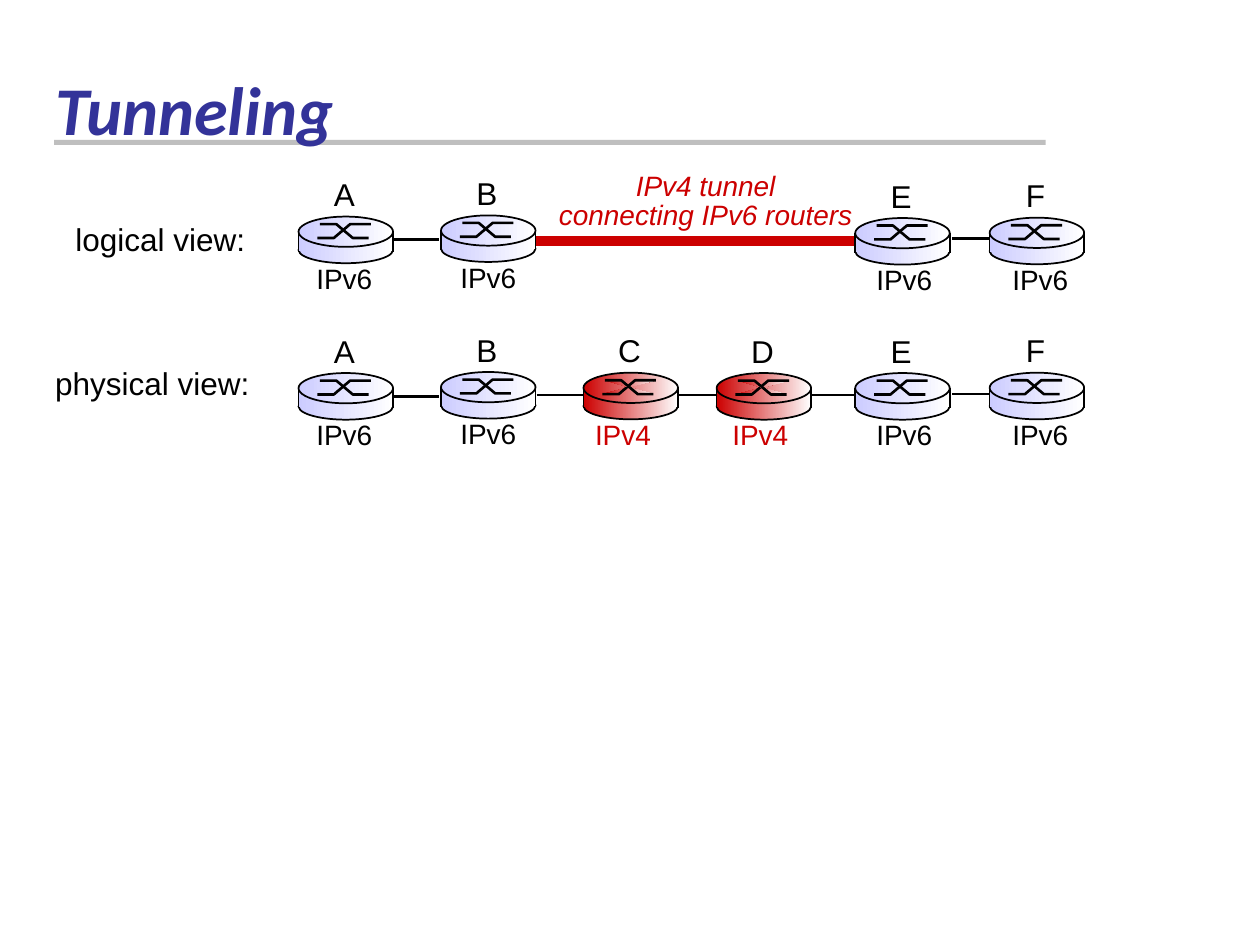
from lxml import etree
from pptx import Presentation
from pptx.dml.color import RGBColor
from pptx.enum.shapes import MSO_CONNECTOR, MSO_SHAPE
from pptx.enum.text import MSO_ANCHOR, PP_ALIGN
from pptx.oxml.ns import qn
from pptx.util import Pt

LINE = MSO_CONNECTOR.STRAIGHT
RECT, OVAL = MSO_SHAPE.RECTANGLE, MSO_SHAPE.OVAL
TOP, BOTTOM = MSO_ANCHOR.TOP, MSO_ANCHOR.BOTTOM
LEFT, CENTER = PP_ALIGN.LEFT, PP_ALIGN.CENTER

BLACK = RGBColor(0x00, 0x00, 0x00)
WHITE = RGBColor(0xFF, 0xFF, 0xFF)
GRAY = RGBColor(0xBF, 0xBF, 0xBF)
NAVY = RGBColor(0x33, 0x33, 0x99)
RED = RGBColor(0xCC, 0x00, 0x00)
LAVENDER = RGBColor(0xCC, 0xCC, 0xFF)

# Content: router name -> left edge, protocol, protocol label shift
ROUTERS = {
    "A": (170.6, "IPv6", -0.8),
    "B": (252, "IPv6", 0),
    "C": (333.4, "IPv4", -4.4),
    "D": (409.5, "IPv4", -2),
    "E": (488.7, "IPv6", 1),
    "F": (565.5, "IPv6", 2),
}
PROTOCOL_COLORS = {"IPv6": (LAVENDER, BLACK), "IPv4": (RED, RED)}

# Each view: caption, caption box, {router: top}
VIEWS = [
    ("logical view:", (36, 122.4, 111.6, 28.8),
     {"A": 123.8, "B": 123.1, "E": 124.6, "F": 124.4}),
    ("physical view:", (24.5, 204.5, 125.3, 28.8),
     {"A": 213.2, "B": 212.6, "C": 213, "D": 213.2, "E": 213.2, "F": 213}),
]
LINKS = [  # left, right, y
    (225.4, 250.6, 136.8), (544.3, 570.2, 136.4),
    (225.4, 250.6, 226.6), (544.3, 569.5, 225.2),
    (306.7, 489.6, 225.8),
]
ROUTER_W = 54
# Crossing arrows as offsets from the router's top left corner
CROSSING = [
    [(10.8, 12.2), (20.2, 12.2), (29.5, 4.3), (41.4, 4.3)],
    [(12.2, 4.3), (21.6, 4.3), (31, 12.2), (40, 12.2)],
]

prs = Presentation()
prs.slide_width, prs.slide_height = Pt(720), Pt(540)
s = prs.slides.add_slide(prs.slide_layouts[6])


def text(lines, box, size, color=BLACK, font="Arial", align=LEFT,
         anchor=TOP, spacing=None, wrap=False, **style):
    tf = s.shapes.add_textbox(*map(Pt, box)).text_frame
    tf.word_wrap = wrap
    tf.vertical_anchor = anchor
    for i, line in enumerate(lines):
        p = tf.paragraphs[0] if i == 0 else tf.add_paragraph()
        p.alignment = align
        if spacing:
            p.line_spacing = spacing
        r = p.add_run()
        r.text = line
        r.font.color.rgb = color
        for name, value in dict(style, name=font, size=Pt(size)).items():
            setattr(r.font, name, value)


def paint(sp, fill=None, line=None, width=1, fade=False):
    sp.shadow.inherit = False
    if fill is None:
        sp.fill.background()
    elif fade:
        sp.fill.gradient()
        sp.fill.gradient_angle = 0
        for stop, color in zip(sp.fill.gradient_stops, (fill, WHITE)):
            stop.color.rgb = color
    else:
        sp.fill.solid()
        sp.fill.fore_color.rgb = fill
    if line is None:
        sp.line.fill.background()
    else:
        sp.line.color.rgb = line
        sp.line.width = Pt(width)


def connect(shapes, x1, y1, x2, y2, width):
    c = shapes.add_connector(LINE, Pt(x1), Pt(y1), Pt(x2), Pt(y2))
    c.line.color.rgb = BLACK
    c.line.width = Pt(width)
    etree.SubElement(c._element.spPr, qn("a:effectLst"))


def router(x, y, color):
    shapes = s.shapes.add_group_shape().shapes
    # Base, body and lid of the drum
    for kind, dy, h, line in [(OVAL, 11.5, 15.1, BLACK),
                              (RECT, 10, 9.4, None),
                              (OVAL, 0, 17.3, BLACK)]:
        sp = shapes.add_shape(kind, Pt(x), Pt(y + dy), Pt(ROUTER_W), Pt(h))
        paint(sp, color, line, fade=True)
    for points in CROSSING:
        path_pts = [(Pt(x + dx), Pt(y + dy)) for dx, dy in points]
        builder = shapes.build_freeform(*path_pts[0])
        builder.add_line_segments(path_pts[1:], close=False)
        paint(builder.convert_to_shape(), RED if color == RED else None,
              BLACK, 1.5, fade=True)
    for side in (x, x + ROUTER_W):
        connect(shapes, side, y + 8.3, side, y + 20, 1)


# Title and its rule
rule = s.shapes.add_shape(RECT, Pt(31), Pt(79.9), Pt(566.6), Pt(2.9))
paint(rule, GRAY)
text(["Tunneling"], (24.5, 10.8, 612, 77.8), 39, NAVY, "Calibri",
     anchor=BOTTOM, wrap=True, bold=True, italic=True)

# Tunnel and links, behind the routers
tunnel = s.shapes.add_shape(RECT, Pt(303.1), Pt(135.4), Pt(189.4), Pt(5))
paint(tunnel, RED, RED, 0.75)
text(["IPv4 tunnel", "connecting IPv6 routers"], (311.8, 95.8, 182.9, 40.3),
     16, RED, align=CENTER, spacing=0.85, italic=True)
for left, right, y in LINKS:
    connect(s.shapes, left, y, right, y, 1.5)

# Views with their labelled routers
for caption, box, tops in VIEWS:
    text([caption], box, 18)
    for name, top in tops.items():
        left, protocol, shift = ROUTERS[name]
        fill, ink = PROTOCOL_COLORS[protocol]
        router(left, top, fill)
        mid = left + ROUTER_W / 2
        text([name], (mid - 14.3, top - 27.1, 27, 28.8), 18, align=CENTER)
        text([protocol], (mid + shift - 23.4, top + 22.1, 46.8, 26.6), 16,
             ink, align=CENTER)

prs.save("out.pptx")
